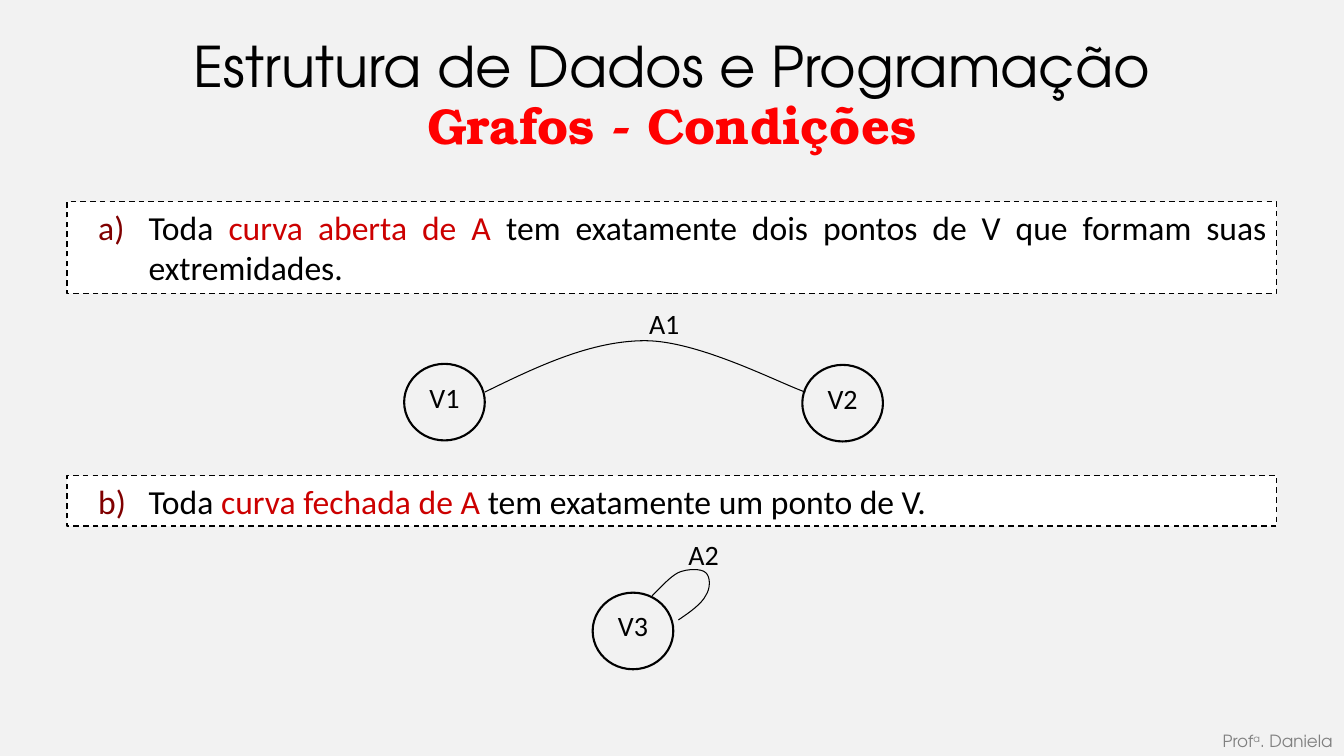
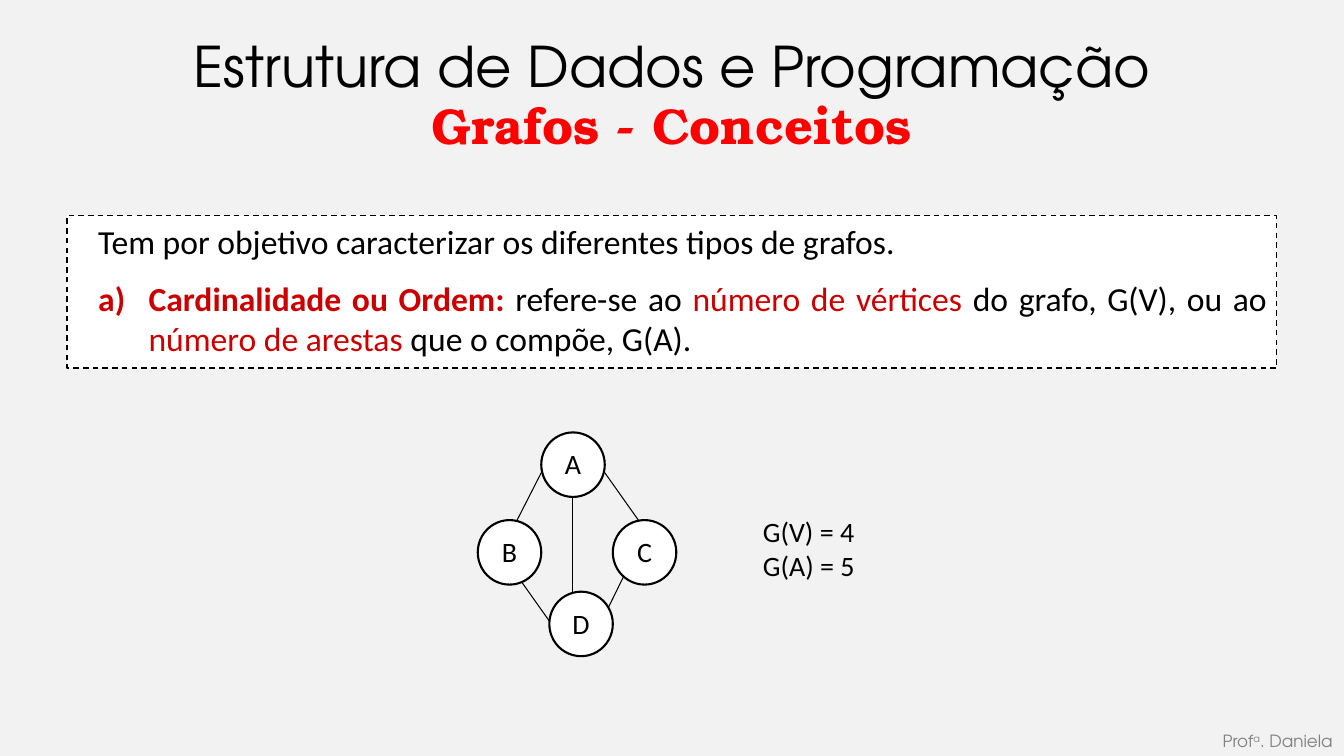
from dataclasses import dataclass
from typing import Optional

import lxml.etree
import pptx
import pptx.dml.color
import pptx.enum.dml
import pptx.enum.shapes
import pptx.enum.text
import pptx.oxml
import pptx.oxml.ns
import pptx.util

Inches = pptx.util.Inches
Pt = pptx.util.Pt
RGBColor = pptx.dml.color.RGBColor
ALIGN = pptx.enum.text.PP_ALIGN
ANCHOR = pptx.enum.text.MSO_ANCHOR
AUTO_SIZE = pptx.enum.text.MSO_AUTO_SIZE
SHAPE = pptx.enum.shapes.MSO_SHAPE
qn = pptx.oxml.ns.qn

BLACK = RGBColor(0x00, 0x00, 0x00)
WHITE = RGBColor(0xFF, 0xFF, 0xFF)
BACKGROUND = RGBColor(0xF2, 0xF2, 0xF2)
MAROON = RGBColor(0x80, 0x00, 0x00)
ACCENT = RGBColor(0xCC, 0x00, 0x00)
SUBTITLE_RED = RGBColor(0xFF, 0x00, 0x00)
GRAY = RGBColor(0x80, 0x80, 0x80)

BODY_FONT = "Calibri"
TITLE_FONT = "TeX Gyre Adventor"
SUBTITLE_FONT = "TeX Gyre Bonum"

SLIDE_HEIGHT = 7.5
SLIDE_WIDTH = SLIDE_HEIGHT * 16 / 9
CONTENT_WIDTH = 12
MARGIN = (SLIDE_WIDTH - CONTENT_WIDTH) / 2


@dataclass(frozen=True)
class Run:
    text: str
    color: Optional[RGBColor] = None
    bold: bool = False
    superscript: bool = False


@dataclass(frozen=True)
class Item:
    runs: tuple[Run, ...]
    number: int = 0
    number_color: RGBColor = MAROON


@dataclass(frozen=True)
class Node:
    label: str
    left: float
    top: float
    width: float = 0.8
    height: float = 0.76
    fill: Optional[RGBColor] = None
    outlined: bool = True


@dataclass(frozen=True)
class Edge:
    x1: float
    y1: float
    x2: float
    y2: float


def add_number(p, number: int, color: RGBColor) -> None:
    pPr = p._p.get_or_add_pPr()
    clr = lxml.etree.SubElement(pPr, qn("a:buClr"))
    lxml.etree.SubElement(clr, qn("a:srgbClr"), val=str(color))
    lxml.etree.SubElement(
        pPr, qn("a:buAutoNum"), type="alphaLcParenR", startAt=str(number)
    )


def set_text(tf, items, *, size: float, font: str = BODY_FONT,
             color: RGBColor = BLACK, bold: bool = False, align=ALIGN.LEFT,
             anchor=ANCHOR.TOP, wrap: bool = True, grow: bool = False,
             gap: float = 0, hanging: bool = False) -> None:
    tf.word_wrap = wrap
    tf.vertical_anchor = anchor
    if grow:
        tf.auto_size = AUTO_SIZE.SHAPE_TO_FIT_TEXT
    for i, item in enumerate(items):
        p = tf.paragraphs[0] if i == 0 else tf.add_paragraph()
        p.alignment = align
        if hanging:
            p.level = 1
            pPr = p._p.get_or_add_pPr()
            pPr.set("marL", str(Inches(0.71)))
            pPr.set("indent", str(Inches(-0.5)))
        if item.number:
            add_number(p, item.number, item.number_color)
        if i and gap:
            p.space_before = Pt(gap)
        for run in item.runs:
            r = p.add_run()
            r.text = run.text
            r.font.name = font
            r.font.size = Pt(size)
            r.font.bold = bold or run.bold
            r.font.color.rgb = run.color or color
            if run.superscript:
                r._r.get_or_add_rPr().set("baseline", "30000")


def plain(*lines: str) -> list[Item]:
    return [Item((Run(line),)) for line in lines]


def add_textbox(s, left: float, top: float, width: float, height: float,
                items, **fmt) -> None:
    sp = s.shapes.add_textbox(
        Inches(left), Inches(top), Inches(width), Inches(height)
    )
    set_text(sp.text_frame, items, **fmt)


def set_outline(sp, width: float) -> None:
    sp.line.color.rgb = BLACK
    sp.line.width = Pt(width)


def add_panel(s, top: float, height: float, items) -> None:
    sp = s.shapes.add_shape(
        SHAPE.RECTANGLE, Inches(MARGIN), Inches(top),
        Inches(CONTENT_WIDTH), Inches(height)
    )
    sp.shadow.inherit = False
    sp.fill.solid()
    sp.fill.fore_color.rgb = WHITE
    set_outline(sp, 1)
    sp.line.dash_style = pptx.enum.dml.MSO_LINE.DASH
    set_text(sp.text_frame, items, size=24, align=ALIGN.JUSTIFY, gap=12,
             hanging=True, grow=True)


def add_node(s, node: Node) -> None:
    sp = s.shapes.add_shape(
        SHAPE.OVAL, Inches(node.left), Inches(node.top),
        Inches(node.width), Inches(node.height)
    )
    sp.shadow.inherit = False
    if node.fill is None:
        sp.fill.background()
    else:
        sp.fill.solid()
        sp.fill.fore_color.rgb = node.fill
    if node.outlined:
        set_outline(sp, 1.5)
    else:
        sp.line.fill.background()
    set_text(sp.text_frame, plain(node.label), size=20, align=ALIGN.CENTER)


def add_edge(s, edge: Edge) -> None:
    line = s.shapes.add_connector(
        pptx.enum.shapes.MSO_CONNECTOR.STRAIGHT,
        Inches(edge.x1), Inches(edge.y1), Inches(edge.x2), Inches(edge.y2)
    )
    set_outline(line, 0.75)
    lxml.etree.SubElement(line._element.spPr, qn("a:effectLst"))


def add_curve(s, points) -> None:
    start, *rest = [(Inches(x), Inches(y)) for x, y in points]
    builder = s.shapes.build_freeform(*start)
    builder.add_line_segments(rest, close=False)
    sp = builder.convert_to_shape()
    segments = list(sp._element.iter(qn("a:lnTo")))
    for i in range(0, len(segments), 3):
        bezier = lxml.etree.Element(qn("a:cubicBezTo"))
        segments[i].addprevious(bezier)
        for segment in segments[i:i + 3]:
            bezier.append(segment[0])
            segment.getparent().remove(segment)
    sp.shadow.inherit = False
    sp.fill.background()
    set_outline(sp, 0.75)


def add_frame(s, subtitle: str) -> None:
    author = Item((Run("Prof"), Run("a", superscript=True), Run(". Daniela")))
    add_textbox(s, 9.75, 7.2, 3.57, 0.3, [author], size=12, font=TITLE_FONT,
                color=GRAY, align=ALIGN.RIGHT, grow=True)
    add_textbox(s, MARGIN, 0.02, CONTENT_WIDTH, 1.25,
                plain("Estrutura de Dados e Programação"), size=40,
                font=TITLE_FONT, align=ALIGN.CENTER, anchor=ANCHOR.MIDDLE)
    add_textbox(s, 0.26, 0.92, 12.81, 0.63, plain(subtitle), size=36,
                font=SUBTITLE_FONT, color=SUBTITLE_RED, bold=True,
                align=ALIGN.CENTER, anchor=ANCHOR.MIDDLE)


def build_conditions(s) -> None:
    add_panel(s, 2, 0.91, [Item((
        Run("Toda "),
        Run("curva aberta de A ", ACCENT),
        Run("tem exatamente dois pontos de V que formam suas extremidades."),
    ), number=1)])
    add_panel(s, 4.72, 0.5, [Item((
        Run("Toda "),
        Run("curva fechada de A", ACCENT),
        Run(" tem exatamente um ponto de V."),
    ), number=2)])
    add_node(s, Node("V1", 4.01, 3.61))
    add_node(s, Node("V2", 7.96, 3.62))
    add_curve(s, [(4.81, 3.89), (5.34, 3.63), (5.87, 3.38), (6.4, 3.38),
                  (6.93, 3.38), (7.73, 3.8), (7.99, 3.89)])
    add_node(s, Node("A1", 6.19, 2.88, outlined=False))
    add_node(s, Node("V3", 5.88, 5.88))
    add_curve(s, [(6.47, 5.91), (6.56, 5.82), (6.65, 5.72), (6.73, 5.68),
                  (6.82, 5.64), (6.96, 5.64), (7, 5.68),
                  (7.05, 5.72), (7.05, 5.84), (7, 5.91),
                  (6.96, 5.99), (6.85, 6.07), (6.73, 6.15)])
    add_node(s, Node("A2", 6.58, 5.17, outlined=False))


def build_concepts(s) -> None:
    intro = plain("Tem por objetivo caracterizar os diferentes tipos de grafos.")
    order = Item((
        Run("Cardinalidade ou Ordem: ", ACCENT, bold=True),
        Run("refere-se ao "),
        Run("número de vértices", ACCENT),
        Run(" do grafo, G(V), ou ao "),
        Run("número de arestas", ACCENT),
        Run(" que o compõe, G(A)."),
    ), number=1, number_color=ACCENT)
    add_panel(s, 2.14, 1.51, [*intro, order])
    top_node, *other_nodes = [
        Node(label, left, top, 0.63, 0.64, fill=WHITE)
        for label, left, top in (("A", 5.37, 4.29), ("B", 4.74, 5.16),
                                 ("D", 5.45, 5.87), ("C", 6.08, 5.16))
    ]
    add_node(s, top_node)
    for edge in (
        Edge(5.37, 4.69, 5.13, 5.16),
        Edge(6, 4.69, 6.39, 5.24),
        Edge(5.13, 5.71, 5.52, 6.26),
        Edge(6.23, 5.63, 6, 6.1),
        Edge(5.68, 4.92, 5.68, 5.87),
    ):
        add_edge(s, edge)
    for node in other_nodes:
        add_node(s, node)
    add_textbox(s, 7.47, 5.06, 1.12, 0.77, plain("G(V) = 4", "G(A) = 5"),
                size=20, wrap=False, grow=True)


def main() -> None:
    prs = pptx.Presentation()
    prs.slide_width = Inches(SLIDE_WIDTH)
    prs.slide_height = Inches(SLIDE_HEIGHT)
    fill = prs.slide_master.background.fill
    fill.solid()
    fill.fore_color.rgb = BACKGROUND
    for subtitle, build in (("Grafos - Condições", build_conditions),
                            ("Grafos - Conceitos", build_concepts)):
        s = prs.slides.add_slide(prs.slide_layouts[6])
        build(s)
        add_frame(s, subtitle)
    prs.save("out.pptx")


if __name__ == "__main__":
    main()
